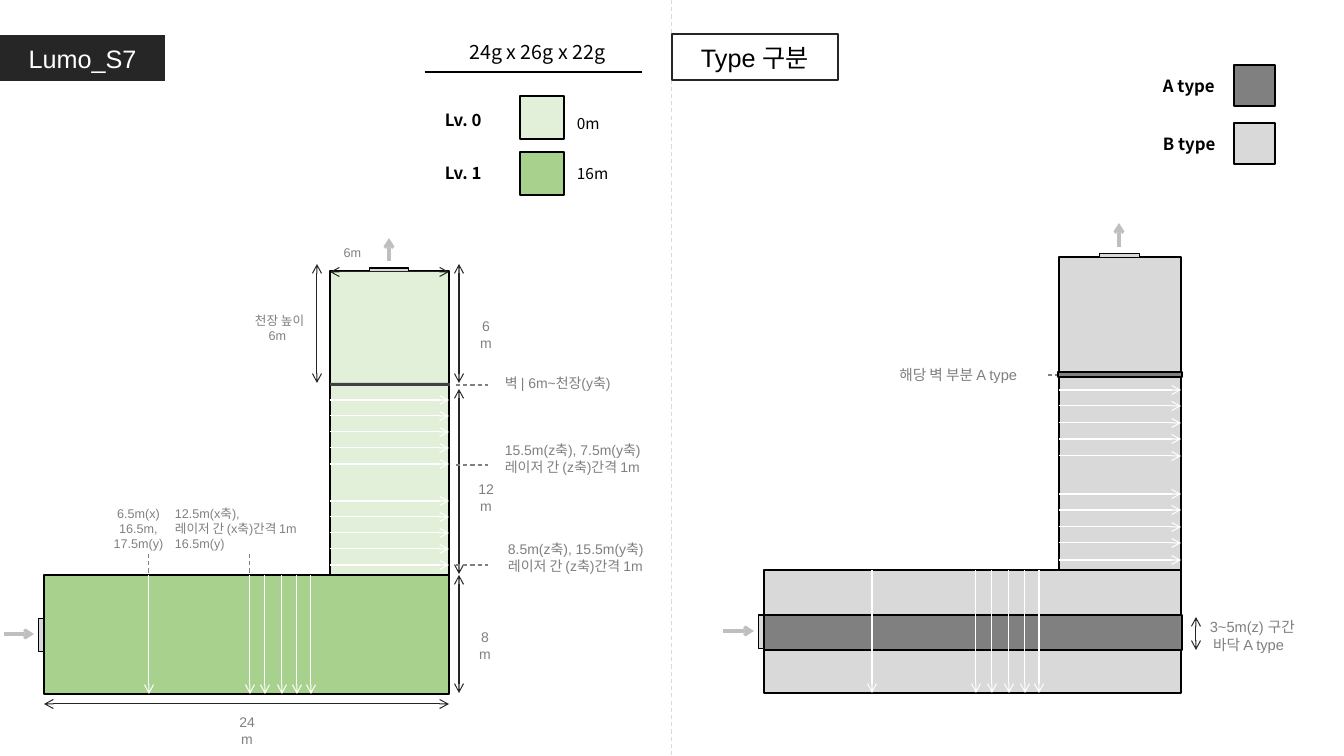
from dataclasses import dataclass
from lxml.etree import SubElement
from pptx import Presentation
from pptx.dml.color import RGBColor
from pptx.enum.dml import MSO_LINE
from pptx.enum.shapes import MSO_CONNECTOR, MSO_SHAPE
from pptx.enum.text import MSO_ANCHOR, MSO_AUTO_SIZE, PP_ALIGN
from pptx.oxml.ns import qn
from pptx.util import Pt

SCALE = 914400 / 100.8
LEFT, MID, RIGHT = PP_ALIGN.LEFT, PP_ALIGN.CENTER, PP_ALIGN.RIGHT


@dataclass(frozen=True)
class Theme:
    black: str = "000000"
    white: str = "FFFFFF"
    ink: str = "262626"
    wall: str = "404040"
    gray: str = "808080"
    flow: str = "BFBFBF"
    pale: str = "D9D9D9"
    low: str = "E2F0D9"
    high: str = "A9D18E"
    sans: str = "Arial"
    noto: str = "Noto Sans CJK KR"
    title: float = 18
    head: float = 14
    key: float = 12
    value: float = 11
    note: float = 10.5
    text: float = 10
    small: float = 9


T = Theme()


def emu(*pixels):
    return [round(p * SCALE) for p in pixels]


def color(code):
    return RGBColor.from_string(code)


def paint(shape, fill, edge=None, weight=1):
    shape.fill.solid()
    shape.fill.fore_color.rgb = color(fill)
    if edge:
        shape.line.color.rgb = color(edge)
        shape.line.width = Pt(weight)
    else:
        shape.line.fill.background()


def write(frame, text, size, ink, aligns=(LEFT,), font=T.sans, bold=False):
    frame.text = text
    frame.word_wrap = True
    for i, para in enumerate(frame.paragraphs):
        para.alignment = aligns[min(i, len(aligns) - 1)]
        for run in para.runs:
            run.font.size = Pt(size)
            run.font.name = font
            run.font.bold = bold
            run.font.color.rgb = color(ink)


def box(slide, x, y, w, h, fill, edge=T.black, weight=1):
    shape = slide.shapes.add_shape(MSO_SHAPE.RECTANGLE, *emu(x, y, w, h))
    shape.shadow.inherit = False
    paint(shape, fill, edge, weight)
    return shape


def label(slide, x, y, w, h, text, size=T.text, ink=T.gray, **style):
    frame = slide.shapes.add_textbox(*emu(x, y, w, h)).text_frame
    write(frame, text, size, ink, **style)
    frame.auto_size = MSO_AUTO_SIZE.SHAPE_TO_FIT_TEXT


def line(slide, x1, y1, x2, y2, ink, weight=0.75, ends=(), dash=False):
    rule = slide.shapes.add_connector(MSO_CONNECTOR.STRAIGHT, *emu(x1, y1, x2, y2))
    rule.line.color.rgb = color(ink)
    rule.line.width = Pt(weight)
    if dash:
        rule.line.dash_style = MSO_LINE.DASH
    props = rule.element.spPr
    for end in ends:
        SubElement(props.find(qn("a:ln")), qn("a:" + end)).set("type", "arrow")
    SubElement(props, qn("a:effectLst"))


def span(slide, x1, y1, x2, y2):
    line(slide, x1, y1, x2, y2, T.ink, ends=("headEnd", "tailEnd"))


def lead(slide, x1, y1, x2, y2):
    line(slide, x1, y1, x2, y2, T.gray, dash=True)


def tag(shape, text, fill, ink, edge=None):
    paint(shape, fill, edge, 1.5)
    write(shape.text_frame, text, T.title, ink, (MID,))
    shape.text_frame.vertical_anchor = MSO_ANCHOR.MIDDLE
    shape.text_frame.auto_size = MSO_AUTO_SIZE.NONE


def plan(slide, left, top, zoom, floor, hall, strip=None):
    """L-shaped room; left and top mark the upper left corner of its floor."""
    def place(x, y):
        return round(left + x * zoom), round(top + y * zoom)

    def room(x1, y1, x2, y2, fill, weight=1):
        x, y = place(x1, y1)
        right, foot = place(x2, y2)
        box(slide, x, y, right - x, foot - y, fill, weight=weight)

    def arrow(x1, y1, x2, y2, ink=T.white, weight=0.75):
        line(slide, *place(x1, y1), *place(x2, y2), ink, weight, ("tailEnd",))

    room(0, 0, 405, 119, floor)
    if strip:
        box(slide, *strip)
    # Entry and floor lasers
    room(-5, 44, 0, 77, T.pale, 0.75)
    arrow(-40, 59, -10, 59, T.flow, 2.25)
    for x in (105, 206, 221, 238, 253, 267):
        arrow(x, 0, x, 119)
    # Hall, lasers and exit
    room(286, -190, 405, 0, hall)
    room(286, -304, 405, -190, hall)
    for start in (-10, -111):
        for step in range(5):
            y = start - 16 * step
            arrow(286, y, 405, y)
    room(326, -307, 365, -303, T.pale, 0.75)
    arrow(345, -314, 345, -337, T.flow, 2.25)


def levels(slide):
    # Size heading and level key
    label(slide, 442, 35, 191, 29, "24g x 26g x 22g", T.head, T.black,
          aligns=(MID,), font=T.noto)
    line(slide, 425, 72, 642, 72, T.black, 1)
    for name, value, y, drop, fill in (("Lv. 0", "0m", 96, 13, T.low),
                                       ("Lv. 1", "16m", 152, 7, T.high)):
        box(slide, 520, y, 44, 43, fill)
        label(slide, 567, y + drop, 62, 24, value, T.value, T.black, font=T.noto)
        label(slide, 435, y + (drop + 5) // 2, 93, 26, name, T.key, T.black,
              font=T.noto, bold=True)


def types(slide):
    # Type key
    for name, y, fill in (("A type", 65, T.gray), ("B type", 123, T.pale)):
        box(slide, 1234, y, 41, 41, fill)
        label(slide, 1153, y + 6, 89, 25, name, T.key, T.black,
              font=T.noto, bold=True)


def sizes(slide):
    # Dimension arrows
    for ends in ((44, 704, 449, 704), (330, 272, 449, 272), (459, 575, 459, 693),
                 (459, 389, 459, 574), (459, 264, 459, 383), (317, 264, 317, 383)):
        span(slide, *ends)
    for x, y, w, text in ((224, 709, 46, "24m"), (466, 624, 38, "8m"),
                          (463, 476, 46, "12m"), (467, 313, 38, "6m")):
        label(slide, x, y, w, 26, text, aligns=(MID,))
    label(slide, 320, 240, 65, 24, "6m", T.small, aligns=(MID,))
    label(slide, 241, 308, 73, 39, "천장 높이\n6m", T.small, aligns=(RIGHT, MID))


def notes(slide):
    # Laser and wall notes
    for y in (385, 465, 565):
        lead(slide, 456, y, 488, y)
    for x in (149, 250):
        lead(slide, x, 554, x, 575)
    gap = "레이저 간 ({0}축)간격 1m"
    label(slide, 495, 370, 150, 26, "벽 | 6m~천장(y축)")
    label(slide, 495, 437, 195, 42, "15.5m(z축), 7.5m(y축)\n" + gap.format("z"))
    label(slide, 498, 536, 186, 42, "8.5m(z축), 15.5m(y축)\n" + gap.format("z"))
    label(slide, 91, 501, 95, 54, "6.5m(x)\n16.5m, 17.5m(y)", T.small, aligns=(MID,))
    label(slide, 165, 501, 171, 56, "12.5m(x축),\n" + gap.format("x") + "\n16.5m(y)",
          T.small)


def main():
    deck = Presentation()
    deck.slide_width, deck.slide_height = emu(1344, 756)
    slide = deck.slides.add_slide(deck.slide_layouts[5])

    # Title
    title = slide.shapes.title
    title.left, title.top, title.width, title.height = emu(0, 35, 165, 46)
    tag(title, "Lumo_S7", T.ink, T.white)

    # Level plan
    levels(slide)
    plan(slide, 44, 575, 1, T.high, T.low)
    box(slide, 330, 383, 120, 3, T.wall, None)
    sizes(slide)
    notes(slide)

    # Type plan
    line(slide, 672, 0, 672, 756, T.pale, dash=True)
    types(slide)
    lead(slide, 1048, 375, 1080, 375)
    plan(slide, 764, 570, 1.03, T.pale, T.pale, (764, 615, 418, 35, T.gray))
    box(slide, 1058, 372, 124, 5, T.gray)
    span(slide, 1196, 617, 1196, 650)
    label(slide, 1200, 613, 109, 45, "3~5m(z) 구간\n 바닥 A type", T.note)
    label(slide, 834, 361, 193, 28, "해당 벽 부분 A type", T.note, aligns=(RIGHT,))
    tag(box(slide, 672, 34, 166, 46, T.white), "Type 구분", T.white, T.black, T.ink)

    deck.save("out.pptx")


main()
